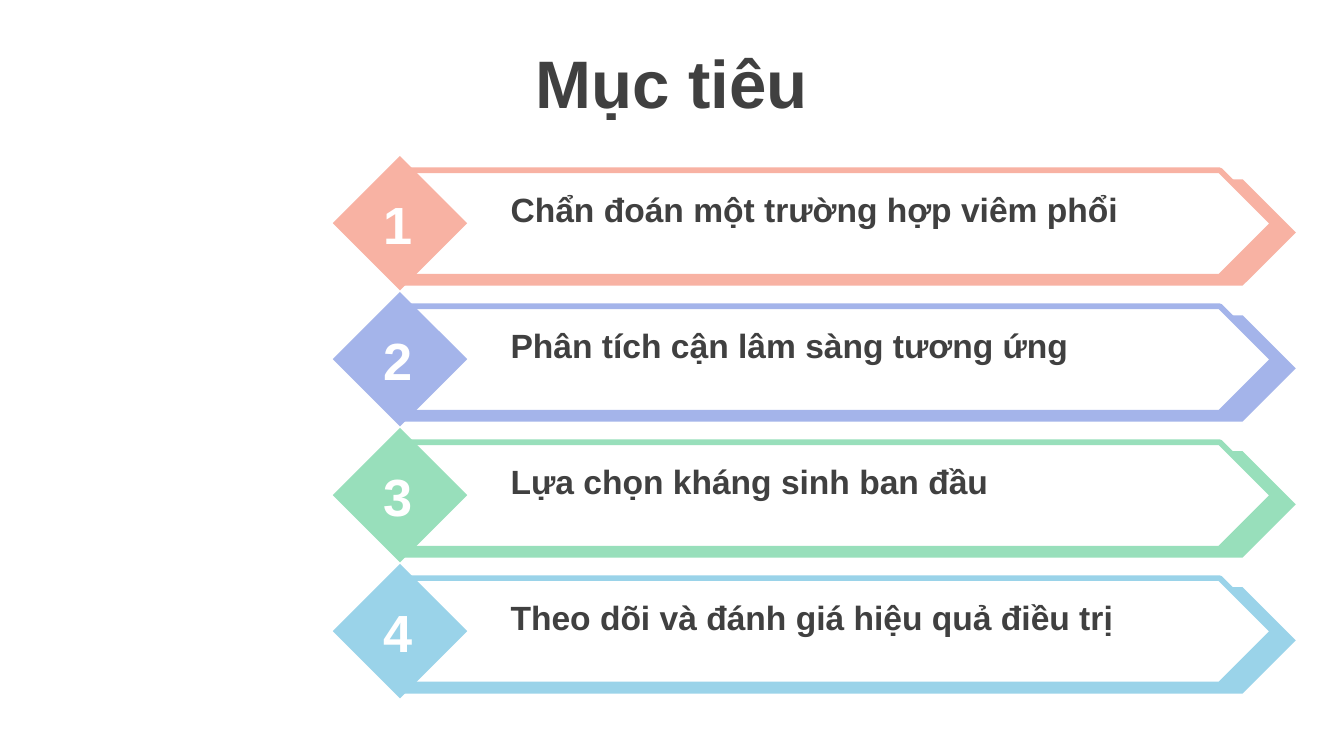
from dataclasses import dataclass

from pptx import Presentation
from pptx.dml.color import RGBColor
from pptx.enum.shapes import MSO_SHAPE
from pptx.enum.text import MSO_ANCHOR, MSO_AUTO_SIZE, PP_ALIGN
from pptx.shapes.autoshape import Shape
from pptx.shapes.group import GroupShape
from pptx.slide import Slide
from pptx.util import Cm, Pt

PENTAGON, DIAMOND = MSO_SHAPE.PENTAGON, MSO_SHAPE.DIAMOND
TOP, MIDDLE = MSO_ANCHOR.TOP, MSO_ANCHOR.MIDDLE
LEFT, CENTER = PP_ALIGN.LEFT, PP_ALIGN.CENTER
NO_AUTOFIT = MSO_AUTO_SIZE.NONE
TITLE_ONLY = 5


@dataclass(frozen=True)
class Theme:
    font: str = "Arial"
    text: str = "404040"
    white: str = "FFFFFF"
    title_size: int = 36
    number_size: int = 28
    label_size: int = 18
    outline: int = 3


@dataclass(frozen=True)
class Box:
    """A place in centimetres."""
    left: float
    top: float
    width: float
    height: float

    def below(self, offset: float) -> "Box":
        return Box(self.left, self.top + offset, self.width, self.height)

    def lengths(self) -> tuple[Cm, Cm, Cm, Cm]:
        return Cm(self.left), Cm(self.top), Cm(self.width), Cm(self.height)


@dataclass(frozen=True)
class Goal:
    label: str
    color: str


THEME = Theme()
SLIDE_WIDTH, SLIDE_HEIGHT = 25.4, 14.29
TITLE_BOX = Box(0, 0.74, SLIDE_WIDTH, 1.6)

# Places in the first row; each later row lies one pitch lower.
ROW_PITCH = 2.57
BACK_ARROW = Box(7.63, 3.39, 16.86, 2.01)
FRONT_ARROW = Box(7.63, 3.22, 16.43, 2.01)
BADGE = Box(6.29, 2.95, 2.54, 2.54)
NUMBER = Box(6.96, 3.51, 1.12, 1.45)
LABEL = Box(9.4, 3.45, 13.21, 1.02)

GOALS = [
    Goal("Chẩn đoán một trường hợp viêm phổi", "F8B2A3"),
    Goal("Phân tích cận lâm sàng tương ứng", "A4B4EA"),
    Goal("Lựa chọn kháng sinh ban đầu", "98DFBB"),
    Goal("Theo dõi và đánh giá hiệu quả điều trị", "9AD3E9"),
]


def write(s: Shape, text: str, size: int, color: str,
          align: PP_ALIGN, anchor: MSO_ANCHOR) -> None:
    tf = s.text_frame
    tf.text = text
    tf.word_wrap = True
    tf.auto_size = NO_AUTOFIT
    tf.vertical_anchor = anchor
    p = tf.paragraphs[0]
    p.alignment = align
    p.font.name = THEME.font
    p.font.size = Pt(size)
    p.font.bold = True
    p.font.color.rgb = RGBColor.from_string(color)


def add_filled(group: GroupShape, kind: MSO_SHAPE, box: Box, fill: str) -> Shape:
    s = group.shapes.add_shape(kind, *box.lengths())
    s.shadow.inherit = False
    s.fill.solid()
    s.fill.fore_color.rgb = RGBColor.from_string(fill)
    s.line.fill.background()
    return s


def add_goal(slide: Slide, index: int, goal: Goal) -> None:
    offset = index * ROW_PITCH
    group = slide.shapes.add_group_shape()
    add_filled(group, PENTAGON, BACK_ARROW.below(offset), goal.color)
    front = add_filled(group, PENTAGON, FRONT_ARROW.below(offset), THEME.white)
    front.line.color.rgb = RGBColor.from_string(goal.color)
    front.line.width = Pt(THEME.outline)
    add_filled(group, DIAMOND, BADGE.below(offset), goal.color)

    number = slide.shapes.add_textbox(*NUMBER.below(offset).lengths())
    write(number, str(index + 1), THEME.number_size, THEME.white, CENTER, MIDDLE)
    label = slide.shapes.add_textbox(*LABEL.below(offset).lengths())
    write(label, goal.label, THEME.label_size, THEME.text, LEFT, TOP)


def add_title(slide: Slide, text: str) -> None:
    s = slide.shapes.title
    s.left, s.top, s.width, s.height = TITLE_BOX.lengths()
    write(s, text, THEME.title_size, THEME.text, CENTER, MIDDLE)


def main() -> None:
    prs = Presentation()
    prs.slide_width, prs.slide_height = Cm(SLIDE_WIDTH), Cm(SLIDE_HEIGHT)
    slide = prs.slides.add_slide(prs.slide_layouts[TITLE_ONLY])
    add_title(slide, "Mục tiêu")
    for index, goal in enumerate(GOALS):
        add_goal(slide, index, goal)
    prs.save("out.pptx")


if __name__ == "__main__":
    main()
